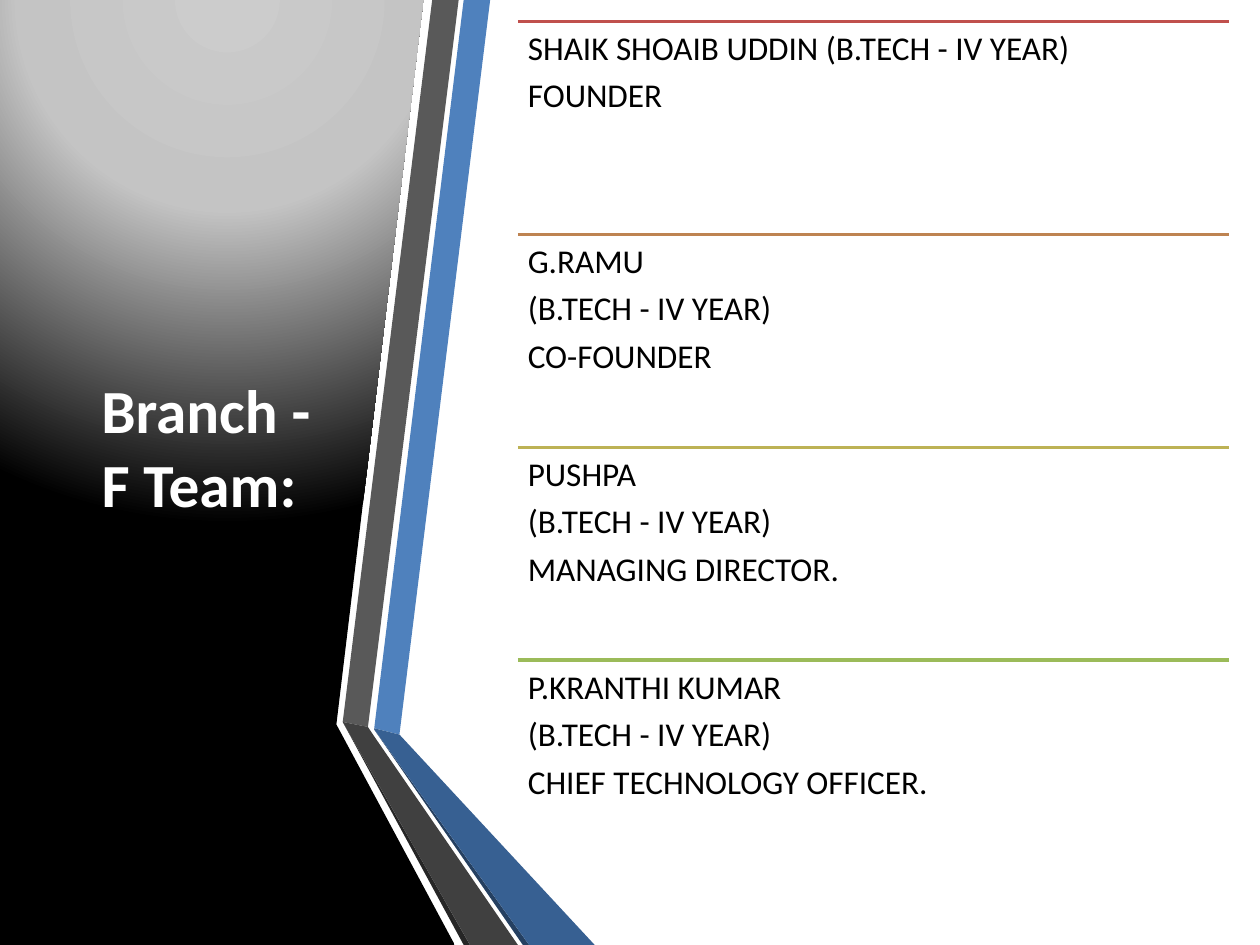
from lxml.etree import SubElement
from pptx import Presentation
from pptx.dml.color import RGBColor
from pptx.enum.shapes import MSO_CONNECTOR
from pptx.enum.text import MSO_ANCHOR, MSO_AUTO_SIZE, PP_ALIGN
from pptx.oxml import parse_xml
from pptx.oxml.ns import nsdecls, qn
from pptx.util import Inches, Pt


def color(value):
    return RGBColor.from_string(value)


def add_outline(shapes, points, fill):
    corners = [(Inches(x), Inches(y)) for x, y in points]
    builder = shapes.build_freeform(*corners[0], scale=1.0)
    builder.add_line_segments(corners[1:], close=True)
    shape = builder.convert_to_shape()
    shape.shadow.inherit = False
    shape.fill.solid()
    shape.fill.fore_color.rgb = color(fill)
    shape.line.fill.background()
    return shape


presentation = Presentation()
presentation.slide_width = Inches(10)
presentation.slide_height = Inches(7.5)
slide = presentation.slides.add_slide(presentation.slide_layouts[5])
slide.background.fill.solid()
slide.background.fill.fore_color.rgb = color("FFFFFF")

panel = add_outline(
    slide.shapes,
    [(0, 0), (2.64, 0), (3.36, 0), (2.67, 5.75), (3.61, 7.5), (0, 7.5)],
    "000000",
)
gradient = parse_xml(
    f'<a:gradFill {nsdecls("a")} rotWithShape="1"><a:gsLst>'
    '<a:gs pos="0"><a:srgbClr val="CCCCCC"/></a:gs>'
    '<a:gs pos="40000"><a:srgbClr val="C4C4C4"/></a:gs>'
    '<a:gs pos="100000"><a:srgbClr val="000000"/></a:gs></a:gsLst>'
    '<a:path path="circle">'
    '<a:fillToRect l="50000" t="-80000" r="50000" b="180000"/>'
    '</a:path></a:gradFill>'
)
panel_properties = panel.element.spPr
panel_properties.replace(panel_properties.find(qn("a:solidFill")), gradient)

ribbons = [
    ("4F81BD", [(2.97, 5.78), (3.17, 5.83), (3.89, 0), (3.68, 0)]),
    ("595959", [(3.64, 0), (3.43, 0), (2.72, 5.73), (2.92, 5.77)]),
    ("262626", [(2.72, 5.73), (3.68, 7.5), (3.73, 7.5)]),
    ("254061", [(2.97, 5.79), (4.15, 7.5), (4.2, 7.5)]),
    ("376092", [(2.97, 5.79), (4.2, 7.5), (4.72, 7.5), (3.17, 5.83), (2.97, 5.78)]),
    ("404040", [(4.11, 7.5), (2.96, 5.83), (2.92, 5.77), (2.72, 5.73), (3.73, 7.5)]),
]
ribbon_group = slide.shapes.add_group_shape()
for fill, points in ribbons:
    add_outline(ribbon_group.shapes, points, fill)

title = slide.shapes.title
title.element.getparent().append(title.element)
title.left, title.top = Inches(0.44), Inches(0.75)
title.width, title.height = Inches(2.28), Inches(5.58)
title.text_frame.auto_size = MSO_AUTO_SIZE.NONE
title.text_frame.word_wrap = True
title.text_frame.vertical_anchor = MSO_ANCHOR.MIDDLE
paragraph = title.text_frame.paragraphs[0]
paragraph.alignment = PP_ALIGN.CENTER
paragraph.font.name = "Calibri"
paragraph.font.size = Pt(35)
paragraph.font.color.rgb = color("FFFFFF")
paragraph.add_run().text = " "
team_name = paragraph.add_run()
team_name.text = "Branch - F Team:"
team_name.font.bold = True

members = [
    ("C0504D", ["SHAIK SHOAIB UDDIN (B.TECH - IV YEAR)", "FOUNDER"]),
    ("BE8351", ["G.RAMU", "(B.TECH - IV YEAR)", "CO-FOUNDER"]),
    ("BDB255", ["PUSHPA", "(B.TECH - IV YEAR)", "MANAGING DIRECTOR."]),
    ("9BBB59", ["P.KRANTHI KUMAR", "(B.TECH - IV YEAR)", "CHIEF TECHNOLOGY OFFICER."]),
]
left, width, row_height = Inches(4.11), Inches(5.64), Inches(1.69)
member_group = slide.shapes.add_group_shape()
for index, (accent, lines) in enumerate(members):
    top = Inches(0.17) + index * row_height
    rule = member_group.shapes.add_connector(
        MSO_CONNECTOR.STRAIGHT, left, top, left + width, top
    )
    rule.line.color.rgb = color(accent)
    rule.line.width = Pt(2)
    SubElement(rule.element.spPr, qn("a:effectLst"))

    text_box = member_group.shapes.add_textbox(left, top, width, row_height)
    frame = text_box.text_frame
    frame.word_wrap = True
    frame.margin_left = frame.margin_right = Inches(0.08)
    frame.margin_top = frame.margin_bottom = Inches(0.08)
    frame.text = "\n".join(lines)
    for paragraph in frame.paragraphs:
        paragraph.line_spacing = 0.9
        paragraph.space_after = Pt(6.65)
        paragraph.font.name = "Calibri"
        paragraph.font.size = Pt(19)
        paragraph.font.color.rgb = color("000000")

presentation.save("out.pptx")
